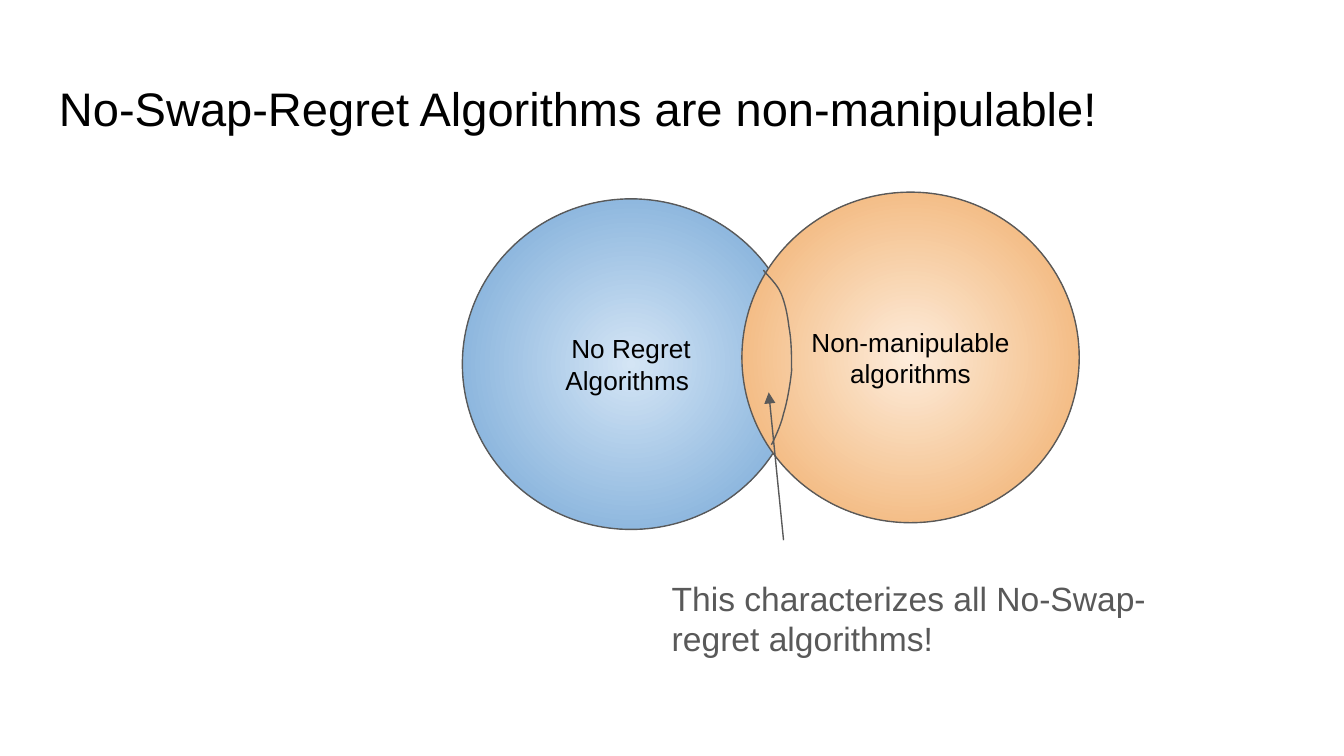
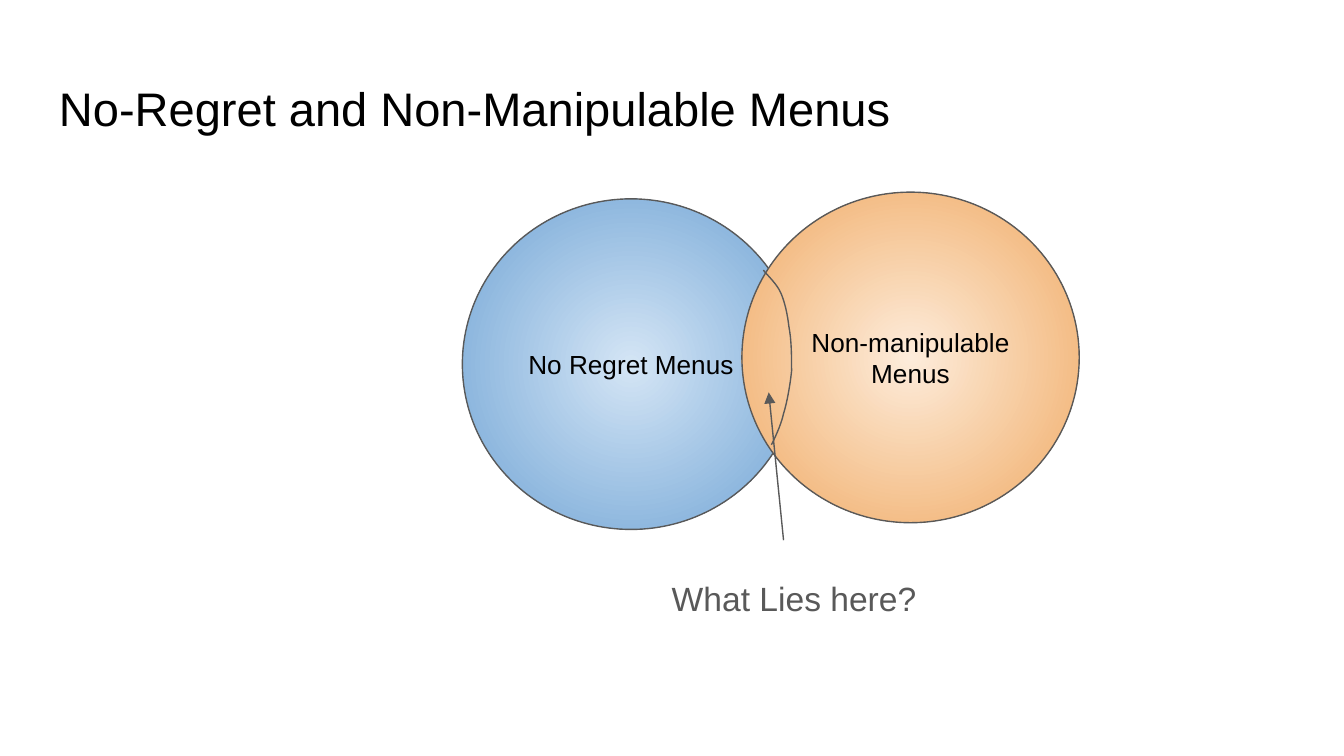
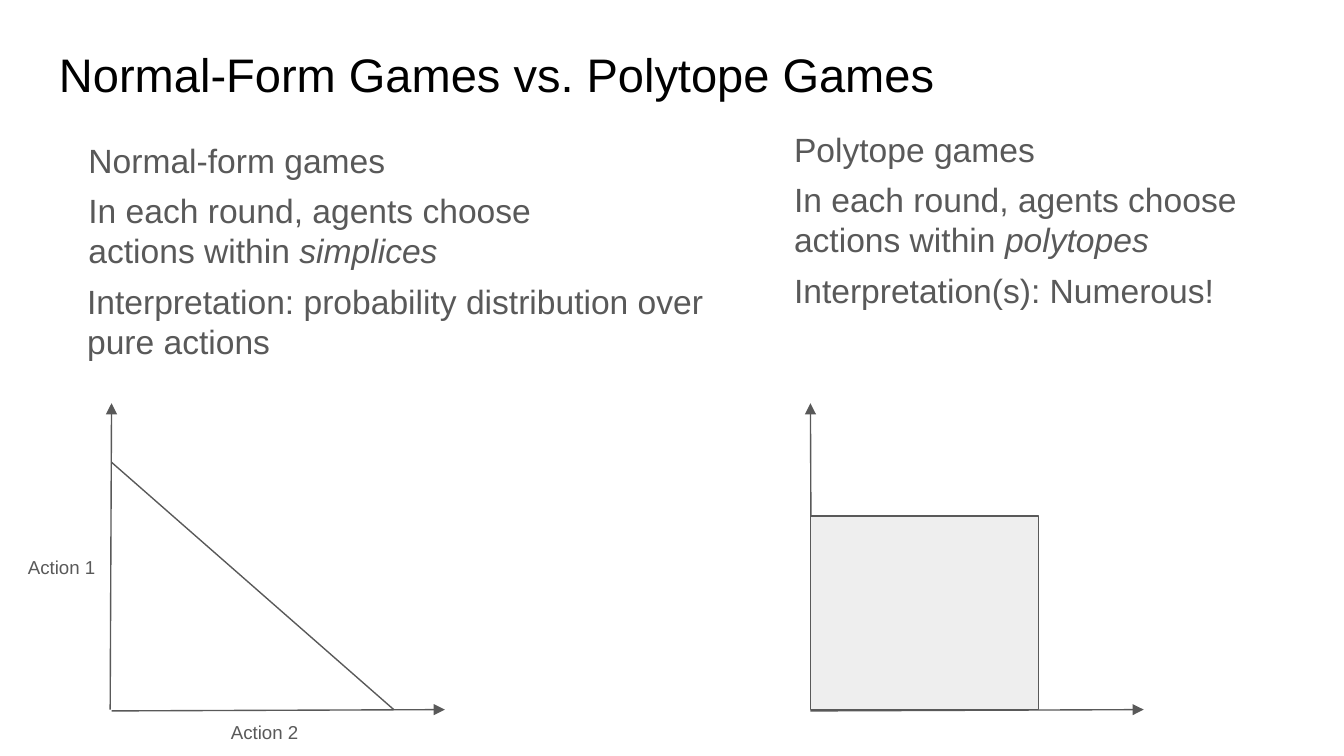
from dataclasses import dataclass
from typing import Optional

from lxml.etree import SubElement
from pptx import Presentation
from pptx.dml.color import RGBColor
from pptx.enum.shapes import MSO_CONNECTOR, MSO_SHAPE
from pptx.enum.text import MSO_ANCHOR, MSO_AUTO_SIZE, PP_ALIGN
from pptx.oxml.ns import qn
from pptx.util import Inches, Pt

FONT = "Arial"
SLIDE_WIDTH = 10
SLIDE_HEIGHT = SLIDE_WIDTH * 9 / 16
COLORS = {
    "title": "000000",
    "body": "595959",
    "line": "595959",
    "blue_core": "D4E5F5",
    "blue_rim": "70A4D5",
    "orange_core": "FDECDB",
    "orange_rim": "F0AA63",
    "square": "EEEEEE",
}
Point = tuple[float, float]


@dataclass(frozen=True)
class Circle:
    left: float
    top: float
    core: str
    rim: str


@dataclass(frozen=True)
class Game:
    name: str
    left: float
    top: float
    choice_set: str
    meaning: str
    meaning_left: float
    meaning_width: float
    meaning_height: float


CIRCLES = (
    Circle(3.44, 1.48, "blue_core", "blue_rim"),
    Circle(5.52, 1.43, "orange_core", "orange_rim"),
)
CIRCLE_SIZE = (2.51, 2.46)
OVERLAP_START = (5.68, 2.01)
OVERLAP_CURVES = (
    ((5.7, 2.04), (5.78, 2.11), (5.81, 2.18)),
    ((5.84, 2.25), (5.86, 2.34), (5.87, 2.43)),
    ((5.89, 2.53), (5.89, 2.65), (5.89, 2.76)),
    ((5.88, 2.86), (5.86, 2.98), (5.83, 3.08)),
    ((5.81, 3.17), (5.76, 3.27), (5.74, 3.31)),
)
CURVE_STEPS = 8
GAMES = (
    Game("Normal-form games", 0.56, 0.94, "simplices",
         "Interpretation: probability distribution over pure actions", 0.55, 5.07, 0.81),
    Game("Polytope games", 5.81, 0.86, "polytopes",
         "Interpretation(s): Numerous!", 5.81, 3.8, 0.5),
)


def rgb(name: str) -> RGBColor:
    return RGBColor.from_string(COLORS[name])


def write_text(tf, text: str, *, size: float = 18, color: str = "body",
               italic_end: str = "", align: Optional[PP_ALIGN] = None) -> None:
    tf.word_wrap = True
    tf.margin_left = tf.margin_right = tf.margin_top = tf.margin_bottom = Inches(0.1)
    p = tf.paragraphs[0]
    p.alignment = align
    for part, italic in ((text, None), (italic_end, True)):
        if part:
            r = p.add_run()
            r.text = part
            r.font.name = FONT
            r.font.size = Pt(size)
            r.font.italic = italic
            r.font.color.rgb = rgb(color)


def add_text(s, left: float, top: float, width: float, height: float, text: str, *,
             grow: bool = True, **style) -> None:
    sp = s.shapes.add_textbox(Inches(left), Inches(top), Inches(width), Inches(height))
    write_text(sp.text_frame, text, **style)
    if grow:
        sp.text_frame.auto_size = MSO_AUTO_SIZE.SHAPE_TO_FIT_TEXT


def add_title(s, text: str, top: float = 0.49) -> None:
    add_text(s, 0.34, top, 9.32, 0.63, text, grow=False, size=25.2, color="title")


def outline(sp) -> None:
    sp.line.color.rgb = rgb("line")
    sp.line.width = Pt(0.75)


def add_line(s, start: Point, end: Point, arrow: bool = True) -> None:
    sp = s.shapes.add_connector(MSO_CONNECTOR.STRAIGHT, *map(Inches, start + end))
    outline(sp)
    if arrow:
        SubElement(sp.line._get_or_add_ln(), qn("a:tailEnd"), type="triangle")
    SubElement(sp._element.spPr, qn("a:effectLst"))


def add_shape(s, kind: MSO_SHAPE, left: float, top: float, width: float, height: float):
    sp = s.shapes.add_shape(kind, Inches(left), Inches(top), Inches(width), Inches(height))
    sp.shadow.inherit = False
    outline(sp)
    return sp


def fill_radial(sp, core: str, rim: str) -> None:
    sp.fill.gradient()
    for stop, color, position in zip(sp.fill.gradient_stops, (core, rim), (0, 1)):
        stop.color.rgb = rgb(color)
        stop.position = position
    grad = sp._element.spPr.find(qn("a:gradFill"))
    grad.remove(grad.find(qn("a:lin")))
    radial = SubElement(grad, qn("a:path"), path="circle")
    SubElement(radial, qn("a:fillToRect"), l="50000", t="50000", r="50000", b="50000")


def bezier(points: tuple[Point, ...], t: float) -> Point:
    weights = ((1 - t) ** 3, 3 * t * (1 - t) ** 2, 3 * t ** 2 * (1 - t), t ** 3)
    x, y = (sum(w * p[axis] for w, p in zip(weights, points)) for axis in (0, 1))
    return x, y


def add_overlap_edge(s) -> None:
    start, vertices = OVERLAP_START, []
    for curve in OVERLAP_CURVES:
        for step in range(1, CURVE_STEPS + 1):
            x, y = bezier((start, *curve), step / CURVE_STEPS)
            vertices.append((Inches(x), Inches(y)))
        start = curve[-1]
    builder = s.shapes.build_freeform(*map(Inches, OVERLAP_START))
    builder.add_line_segments(vertices, close=False)
    sp = builder.convert_to_shape()
    sp.shadow.inherit = False
    sp.fill.background()
    outline(sp)


def add_venn_slide(prs, title: str, labels: tuple[str, str], caption: str) -> None:
    s = prs.slides.add_slide(prs.slide_layouts[6])
    add_title(s, title)
    for circle, label in zip(CIRCLES, labels):
        sp = add_shape(s, MSO_SHAPE.OVAL, circle.left, circle.top, *CIRCLE_SIZE)
        fill_radial(sp, circle.core, circle.rim)
        write_text(sp.text_frame, label, size=14, color="title", align=PP_ALIGN.CENTER)
        sp.text_frame.vertical_anchor = MSO_ANCHOR.MIDDLE
    add_overlap_edge(s)
    add_line(s, (5.83, 4.02), (5.72, 2.92))
    add_text(s, 4.9, 4.2, 3.83, 1.2, caption, grow=False)


def add_game_text(s, game: Game) -> None:
    add_text(s, game.left, game.top, 2.92, 0.5, game.name)
    add_text(s, game.left, game.top + 0.37, 3.86, 0.81,
             "In each round, agents choose actions within ", italic_end=game.choice_set)
    add_text(s, game.meaning_left, game.top + 1.05, game.meaning_width,
             game.meaning_height, game.meaning)


def add_axes(s, left: float, foot: float) -> None:
    add_line(s, (left, 5.29), (left + 2.48, 5.28))
    add_line(s, (foot, 5.28), (left, 3))


def add_games_slide(prs) -> None:
    s = prs.slides.add_slide(prs.slide_layouts[6])
    add_title(s, "Normal-Form Games vs. Polytope Games", top=0.24)
    for game in GAMES:
        add_game_text(s, game)
    add_axes(s, 0.83, foot=0.82)
    add_axes(s, 6.03, foot=6.04)
    add_text(s, 0.11, 4.05, 0.72, 0.37, "Action 1", size=10)
    add_text(s, 1.62, 5.28, 0.72, 0.37, "Action 2", size=10)
    add_line(s, (0.83, 3.44), (2.93, 5.28), arrow=False)
    square = add_shape(s, MSO_SHAPE.RECTANGLE, 6.03, 3.84, 1.7, 1.44)
    square.fill.solid()
    square.fill.fore_color.rgb = rgb("square")


def main() -> None:
    prs = Presentation()
    prs.slide_width, prs.slide_height = Inches(SLIDE_WIDTH), Inches(SLIDE_HEIGHT)
    add_venn_slide(prs, "No-Swap-Regret Algorithms are non-manipulable!",
                   ("No Regret Algorithms ", "Non-manipulable algorithms"),
                   "This characterizes all No-Swap-regret algorithms!")
    add_venn_slide(prs, "No-Regret and Non-Manipulable Menus",
                   ("No Regret Menus ", "Non-manipulable Menus"),
                   "What Lies here?")
    add_games_slide(prs)
    prs.save("out.pptx")


if __name__ == "__main__":
    main()
